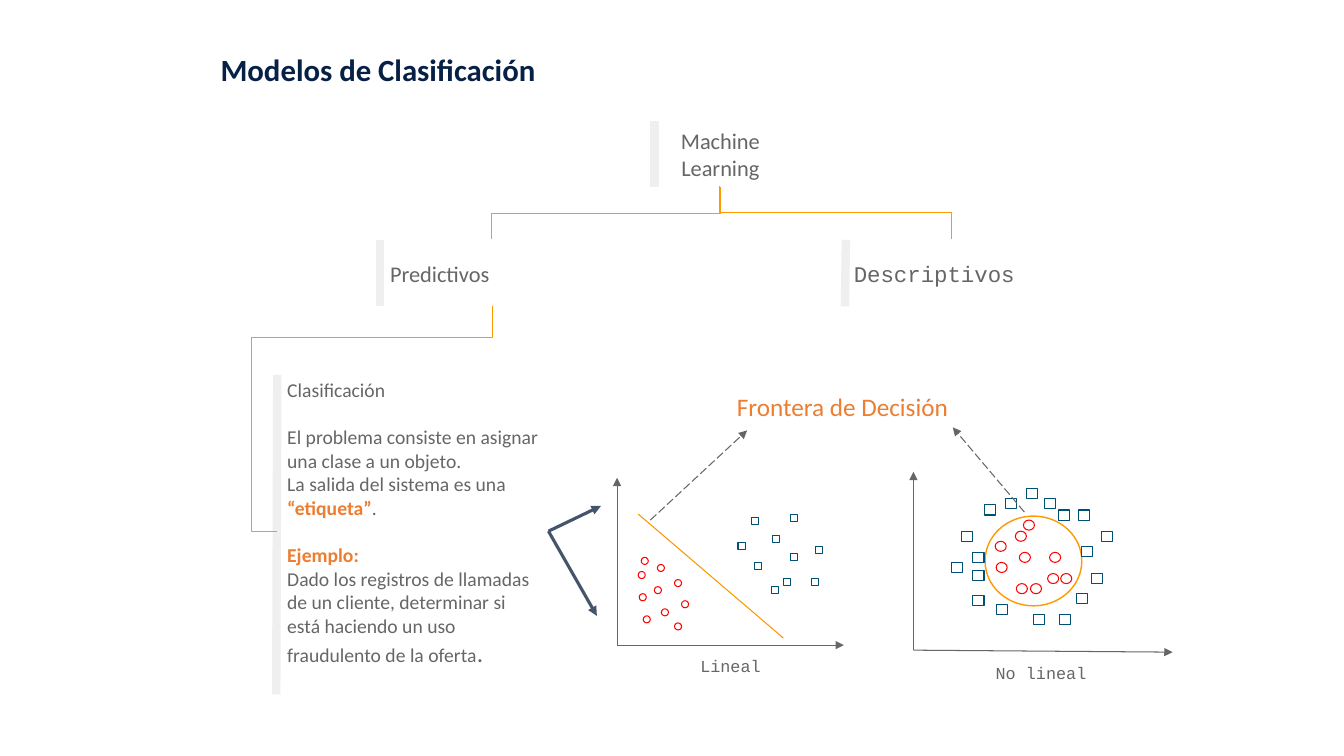
from dataclasses import dataclass

from lxml.etree import SubElement
from pptx import Presentation
from pptx.dml.color import RGBColor
from pptx.enum.shapes import MSO_CONNECTOR, MSO_SHAPE
from pptx.enum.text import MSO_ANCHOR, PP_ALIGN
from pptx.oxml.ns import qn
from pptx.shapes.connector import Connector
from pptx.util import Emu, Pt

PX = 9144  # 100 px to the inch
GREY, PALE, NAVY, ORANGE = "666666", "EFEFEF", "072146", "ED7D31"
AMBER, BLUE, RED, SLATE, WHITE = "FF9900", "004F77", "FF0000", "44546A", "FFFFFF"
SANS, MONO = "Calibri", "Courier New"
Point = tuple[int, int]
Box = tuple[int, int, int, int]


@dataclass
class Run:
    text: str
    size: int
    color: str = GREY
    face: str = SANS
    bold: bool = False


@dataclass
class Label:
    box: Box
    paragraphs: list[list[Run]]
    anchor: MSO_ANCHOR = MSO_ANCHOR.TOP
    align: PP_ALIGN = PP_ALIGN.LEFT
    gaps: tuple[int, ...] = ()  # paragraphs with a line's space before


@dataclass
class Line:
    start: Point
    end: Point
    color: str = GREY
    width: float = 0.75
    arrow: bool = False
    dashed: bool = False


@dataclass
class Elbow:
    start: Point  # corners before the turn
    end: Point
    turn: int
    bends: dict[str, int]


@dataclass
class Marks:
    kind: MSO_SHAPE
    color: str
    size: Point
    places: list[Point]


def px(value: int) -> Emu:
    return Emu(value * PX)


def rgb(color: str) -> RGBColor:
    return RGBColor.from_string(color)


def draw_label(label: Label) -> None:
    frame = slide.shapes.add_textbox(*map(px, label.box)).text_frame
    layout = {"word_wrap": True, "vertical_anchor": label.anchor}
    layout |= {f"margin_{side}": px(10) for side in ("left", "top", "right", "bottom")}
    for name, value in layout.items():
        setattr(frame, name, value)
    for index, runs in enumerate(label.paragraphs):
        paragraph = frame.add_paragraph() if index else frame.paragraphs[0]
        paragraph.alignment = label.align
        if index in label.gaps:
            paragraph.space_before = Pt(17)
        for part in runs:
            run = paragraph.add_run()
            run.text = part.text
            font = {"name": part.face, "size": Pt(part.size), "bold": part.bold}
            for name, value in font.items():
                setattr(run.font, name, value)
            run.font.color.rgb = rgb(part.color)


def connect(kind: MSO_CONNECTOR, start: Point, end: Point, color: str, width: float) -> Connector:
    connector = slide.shapes.add_connector(kind, *map(px, start + end))
    connector.line.color.rgb = rgb(color)
    connector.line.width = Pt(width)
    SubElement(connector._element.spPr, qn("a:effectLst"))
    return connector


def draw_line(line: Line) -> None:
    connector = connect(MSO_CONNECTOR.STRAIGHT, line.start, line.end, line.color, line.width)
    outline = connector.line._get_or_add_ln()
    if line.dashed:
        SubElement(outline, qn("a:prstDash"), val="lgDash")
    if line.arrow:
        SubElement(outline, qn("a:tailEnd"), type="triangle")


def draw_elbow(elbow: Elbow) -> None:
    connector = connect(MSO_CONNECTOR.ELBOW, elbow.start, elbow.end, AMBER, 0.75)
    properties = connector._element.spPr
    properties.find(qn("a:xfrm")).set("rot", str(elbow.turn * 60000))
    geometry = properties.find(qn("a:prstGeom"))
    geometry.set("prst", f"bentConnector{len(elbow.bends) + 2}")
    guides = geometry.find(qn("a:avLst"))
    if guides is None:
        guides = SubElement(geometry, qn("a:avLst"))
    for name, value in elbow.bends.items():
        SubElement(guides, qn("a:gd"), name=name, fmla=f"val {value}")


def draw_marks(marks: Marks) -> None:
    for place in marks.places:
        mark = slide.shapes.add_shape(marks.kind, *map(px, place + marks.size))
        mark.shadow.inherit = False
        mark.fill.solid()
        mark.fill.fore_color.rgb = rgb(WHITE)
        mark.line.color.rgb = rgb(marks.color)
        mark.line.width = Pt(0.75)


MIDDLE, CENTER = MSO_ANCHOR.MIDDLE, PP_ALIGN.CENTER
LABELS = [
    Label((209, 40, 700, 78), [[Run("Modelos de Clasificación", 22, NAVY, bold=True)]]),
    Label((650, 120, 129, 66), [[Run("Machine Learning", 16)]], MIDDLE, CENTER),
    Label((377, 238, 221, 66), [[Run("Predictivos", 16)]], MIDDLE),
    Label((837, 238, 216, 66), [[Run("Descriptivos", 16, face=MONO)]], MIDDLE),
    Label((275, 365, 269, 324), [
        [Run("Clasificación", 14)],
        [Run("El problema consiste en asignar una clase a un objeto.", 14)],
        [Run("La salida del sistema es una ", 14),
         Run("“etiqueta”", 14, ORANGE, bold=True), Run(".", 14)],
        [Run("Ejemplo:", 14, ORANGE, bold=True)],
        [Run("Dado los registros de llamadas de un cliente, determinar si "
             "está haciendo un uso fraudulento de la oferta", 14), Run(".", 18)],
    ], gaps=(1, 3)),
    Label((674, 641, 101, 43), [[Run("Lineal", 12, face=MONO)]], align=CENTER),
    Label((965, 647, 135, 43), [[Run("No lineal", 12, face=MONO)]], align=CENTER),
    Label((721, 378, 302, 50), [[Run("Frontera de Decisión", 18, ORANGE)]]),
]
SIDE_BARS = [
    Line((649, 120), (649, 186), PALE, 6),
    Line((377, 238), (377, 304), PALE, 6),
    Line((839, 238), (838, 304), PALE, 6),
    Line((275, 372), (274, 689), PALE, 6),
]
TREE = [
    Elbow((575, 98), (627, 325), 90, {"adj1": 50000}),
    Elbow((855, 96), (803, 326), 270, {"adj1": 50000}),
    Elbow((270, 309), (493, 522), 90, {"adj1": 13700, "adj2": 111800}),
]
AXES = [
    Line((612, 640), (612, 474), arrow=True),
    Line((612, 640), (837, 640), arrow=True),
    Line((906, 645), (906, 468), arrow=True),
    Line((906, 645), (1163, 647), arrow=True),
]
LINEAR_BORDER = Line((633, 510), (777, 633), "FF9600")
ROUND_BORDER = (977, 512, 96, 89)
POINTERS = [
    Line((645, 516), (741, 427), arrow=True, dashed=True),
    Line((1016, 508), (945, 424), arrow=True, dashed=True),
    Line((544, 527), (596, 502), SLATE, 2.25, arrow=True),
    Line((544, 527), (592, 611), SLATE, 2.25, arrow=True),
]
SMALL, LARGE = (7, 7), (11, 10)
CLASSES = [
    Marks(MSO_SHAPE.RECTANGLE, BLUE, SMALL, [
        (745, 513), (732, 538), (766, 531), (784, 510), (748, 558),
        (784, 549), (765, 582), (809, 542), (777, 574), (805, 574)]),
    Marks(MSO_SHAPE.OVAL, RED, SMALL, [
        (633, 567), (652, 560), (649, 582), (669, 575), (634, 589),
        (656, 604), (676, 596), (638, 611), (636, 553), (669, 618)]),
    Marks(MSO_SHAPE.RECTANGLE, BLUE, LARGE, [
        (976, 501), (954, 527), (1018, 485), (1036, 495), (965, 566), (1050, 506),
        (988, 600), (1073, 542), (1025, 610), (1068, 589), (965, 591), (965, 548),
        (944, 558), (1051, 610), (1070, 506), (1083, 569), (1092, 527), (997, 495)]),
    Marks(MSO_SHAPE.OVAL, RED, LARGE, [
        (987, 537), (1015, 516), (1011, 548), (1041, 548), (988, 558),
        (1022, 579), (1052, 569), (1008, 579), (1007, 527), (1039, 569)]),
]

deck = Presentation()
deck.slide_width, deck.slide_height = px(1333), px(750)
slide = deck.slides.add_slide(deck.slide_layouts[6])

# Tree of models
for bar in SIDE_BARS:
    draw_line(bar)
for branch in TREE:
    draw_elbow(branch)

# Two scatter plots with their decision borders
for axis in AXES:
    draw_line(axis)
circle = slide.shapes.add_shape(MSO_SHAPE.OVAL, *map(px, ROUND_BORDER))
circle.shadow.inherit = False
circle.fill.background()
circle.line.color.rgb = rgb(AMBER)
circle.line.width = Pt(1)
for group in CLASSES:
    draw_marks(group)
draw_line(LINEAR_BORDER)

# Arrows and wording
for pointer in POINTERS:
    draw_line(pointer)
for label in LABELS:
    draw_label(label)

deck.save("out.pptx")
